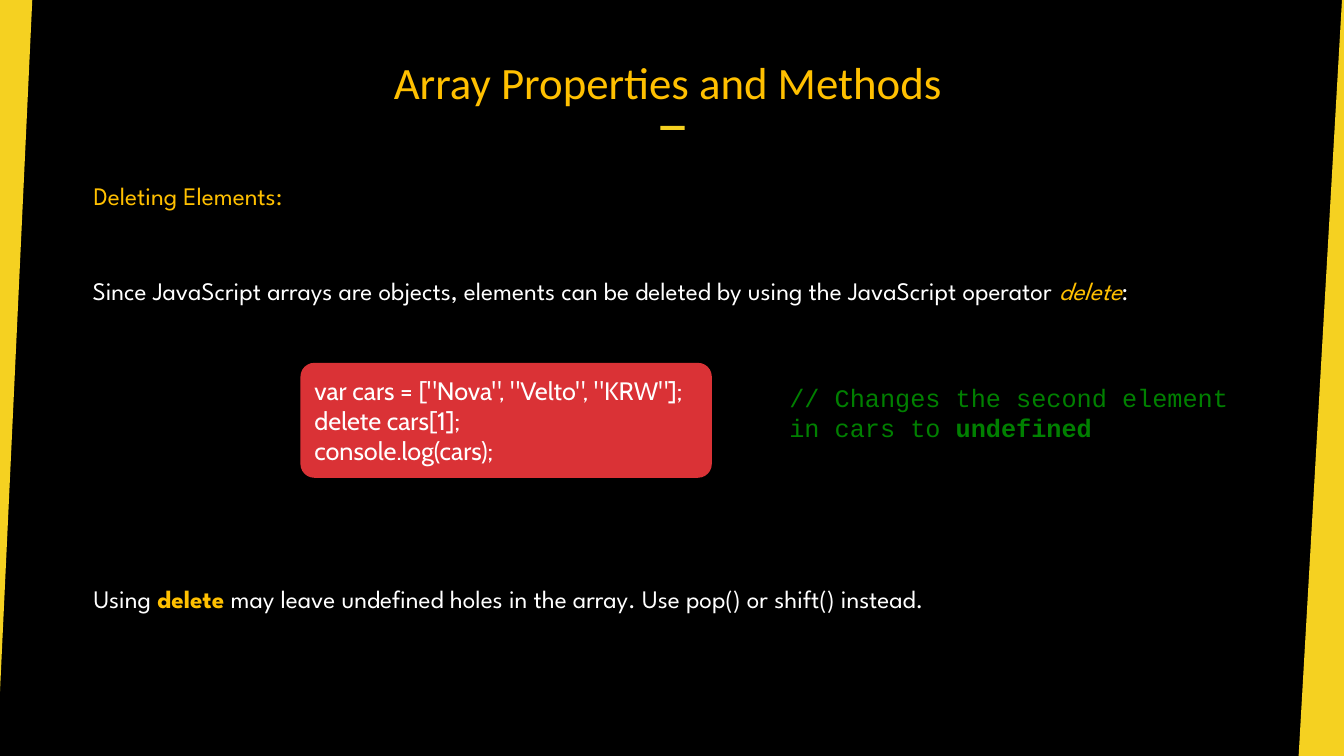
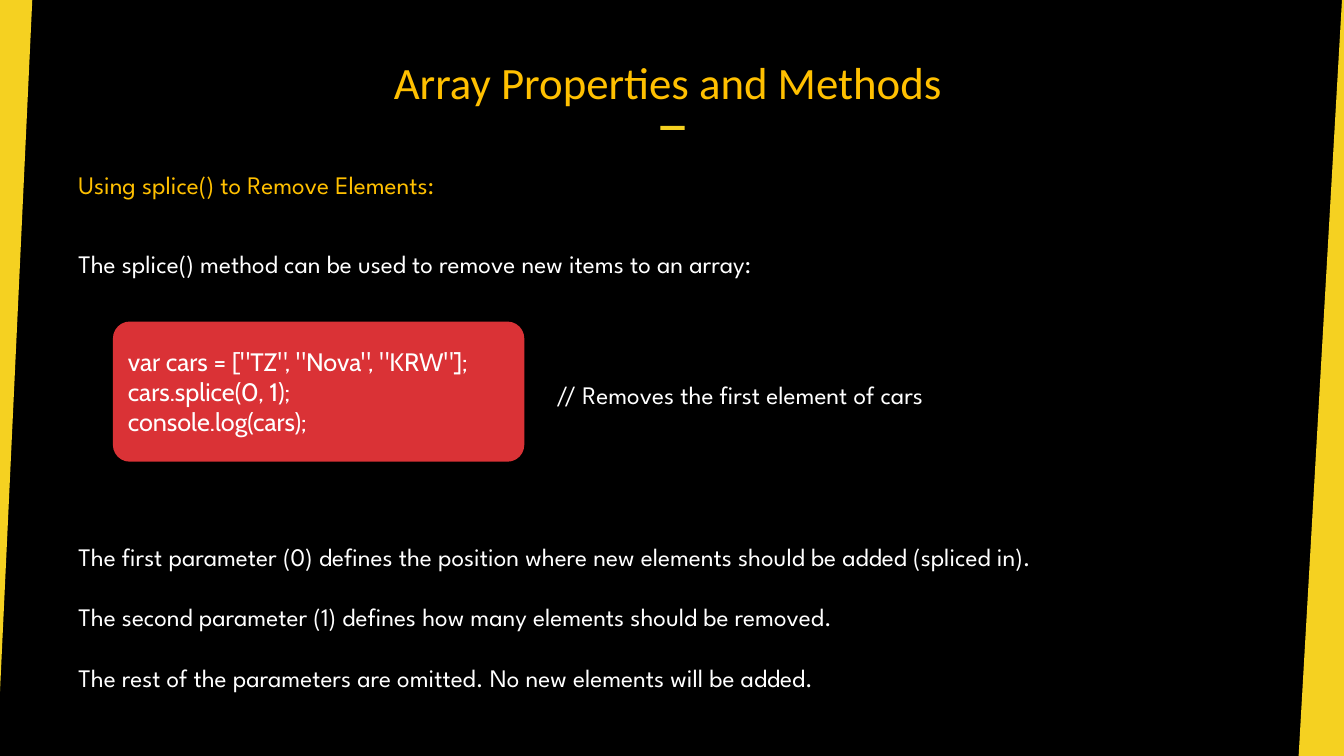
from pptx import Presentation
from pptx.dml.color import RGBColor
from pptx.enum.shapes import MSO_SHAPE
from pptx.enum.text import MSO_ANCHOR, MSO_AUTO_SIZE, PP_ALIGN
from pptx.util import Inches, Pt

RECTANGLE, ROUNDED = MSO_SHAPE.RECTANGLE, MSO_SHAPE.ROUNDED_RECTANGLE
BOTTOM, MIDDLE = MSO_ANCHOR.BOTTOM, MSO_ANCHOR.MIDDLE
FIXED, GROW = MSO_AUTO_SIZE.NONE, MSO_AUTO_SIZE.SHAPE_TO_FIT_TEXT
LEFT, CENTER = PP_ALIGN.LEFT, PP_ALIGN.CENTER

WIDTH, HEIGHT = 13.33, 7.5
BLACK, WHITE, YELLOW = "000000", "FFFFFF", "F5D121"
GOLD, RED, GREEN = "FFC000", "DA3236", "008000"
BODY, CODE, MONO, HEADING = "League Spartan", "Cabin", "Courier New", "Calibri"
TEXT_SIZE, TITLE_SIZE, LINE_GAP = 18, 32, 21.6

TITLE = "Array Properties and Methods"
TITLE_AREA = (3.17, 0.33, 6.91, 0.75)
DASH_AREA = (6.55, 1.25, 0.24, 0.04)
SIDE_BANDS = [
    [(0, 0), (0.32, 0), (0, 6.86)],
    [(13.31, 0), (WIDTH, 0), (WIDTH, HEIGHT), (12.88, HEIGHT)],
]

SLIDES = [
    {
        "code": ((2.98, 3.6, 4.08, 1.14), [
            'var cars = ["Nova", "Velto", "KRW"];',
            "delete cars[1];",
            "console.log(cars);",
        ]),
        "texts": [
            ((0.83, 1.74, 4.19, 0.4), BODY, GOLD, ["Deleting Elements:"]),
            ((0.82, 2.68, 12.28, 0.4), BODY, WHITE, [[
                ("Since JavaScript arrays are objects, elements can be deleted "
                 "by using the JavaScript operator ", {}),
                ("delete", {"color": GOLD, "italic": True}),
                (":", {}),
            ]]),
            ((7.73, 3.74, 4.72, 0.71), MONO, GREEN, [[
                ("// Changes the second element in cars to ", {}),
                ("undefined", {"bold": True}),
            ]]),
            ((0.83, 5.74, 12.27, 0.4), BODY, WHITE, [[
                ("Using ", {}),
                ("delete", {"color": GOLD, "bold": True}),
                (" may leave undefined holes in the array. "
                 "Use pop() or shift() instead.", {}),
            ]]),
        ],
    },
    {
        "code": ((1.12, 3.19, 4.08, 1.39), [
            'var cars = ["TZ", "Nova", "KRW"];',
            "cars.splice(0, 1);",
            "console.log(cars);",
        ]),
        "texts": [
            ((0.68, 1.63, 7.2, 0.4), BODY, GOLD,
             ["Using splice() to Remove Elements:"]),
            ((0.68, 2.41, 10.7, 0.4), BODY, WHITE,
             ["The splice() method can be used to remove new items to an array:"]),
            ((5.42, 3.71, 6.5, 0.4), BODY, WHITE,
             ["// Removes the first element of cars"]),
            ((0.68, 5.32, 11.79, 1.62), BODY, WHITE, [
                "The first parameter (0) defines the position where new elements "
                "should be added (spliced in).",
                "The second parameter (1) defines how many elements should be removed.",
                "The rest of the parameters are omitted. No new elements will be added.",
            ]),
        ],
    },
]


def rgb(value):
    return RGBColor.from_string(value)


def inches(values):
    return [Inches(value) for value in values]


def paint(shape, color):
    shape.fill.solid()
    shape.fill.fore_color.rgb = rgb(color)
    shape.line.fill.background()
    shape.shadow.inherit = False


def write(frame, paragraphs, font, color, size=TEXT_SIZE, align=LEFT, gap=0):
    frame.word_wrap = True
    for index, content in enumerate(paragraphs):
        para = frame.add_paragraph() if index else frame.paragraphs[0]
        para.alignment = align
        para.space_before = Pt(gap if index else 0)
        para.font.name = font
        para.font.size = Pt(size)
        para.font.color.rgb = rgb(color)
        spans = [(content, {})] if isinstance(content, str) else content
        for text, style in spans:
            span = para.add_run()
            span.text = text
            if "color" in style:
                span.font.color.rgb = rgb(style["color"])
            span.font.bold = style.get("bold")
            span.font.italic = style.get("italic")


def add_frame(slide):
    for start, *corners in SIDE_BANDS:
        outline = slide.shapes.build_freeform(*inches(start))
        outline.add_line_segments([inches(corner) for corner in corners])
        paint(outline.convert_to_shape(), YELLOW)
    paint(slide.shapes.add_shape(RECTANGLE, *inches(DASH_AREA)), YELLOW)

    title = slide.shapes.title
    title.left, title.top, title.width, title.height = inches(TITLE_AREA)
    frame = title.text_frame
    frame.auto_size = FIXED
    frame.vertical_anchor = BOTTOM
    frame.margin_top, frame.margin_bottom = inches((0.04, 0))
    write(frame, [TITLE], HEADING, GOLD, TITLE_SIZE, CENTER)


def add_code(slide, area, lines):
    box = slide.shapes.add_shape(ROUNDED, *inches(area))
    box.adjustments[0] = 0.12
    paint(box, RED)
    box.text_frame.vertical_anchor = MIDDLE
    write(box.text_frame, lines, CODE, WHITE)


def add_text(slide, area, font, color, paragraphs):
    box = slide.shapes.add_textbox(*inches(area))
    box.text_frame.auto_size = GROW
    write(box.text_frame, paragraphs, font, color, gap=LINE_GAP)


def main():
    deck = Presentation()
    deck.slide_width, deck.slide_height = inches((WIDTH, HEIGHT))
    background = deck.slide_master.background.fill
    background.solid()
    background.fore_color.rgb = rgb(BLACK)
    for content in SLIDES:
        slide = deck.slides.add_slide(deck.slide_layouts[5])
        add_frame(slide)
        add_code(slide, *content["code"])
        for text in content["texts"]:
            add_text(slide, *text)
    deck.save("out.pptx")


if __name__ == "__main__":
    main()
